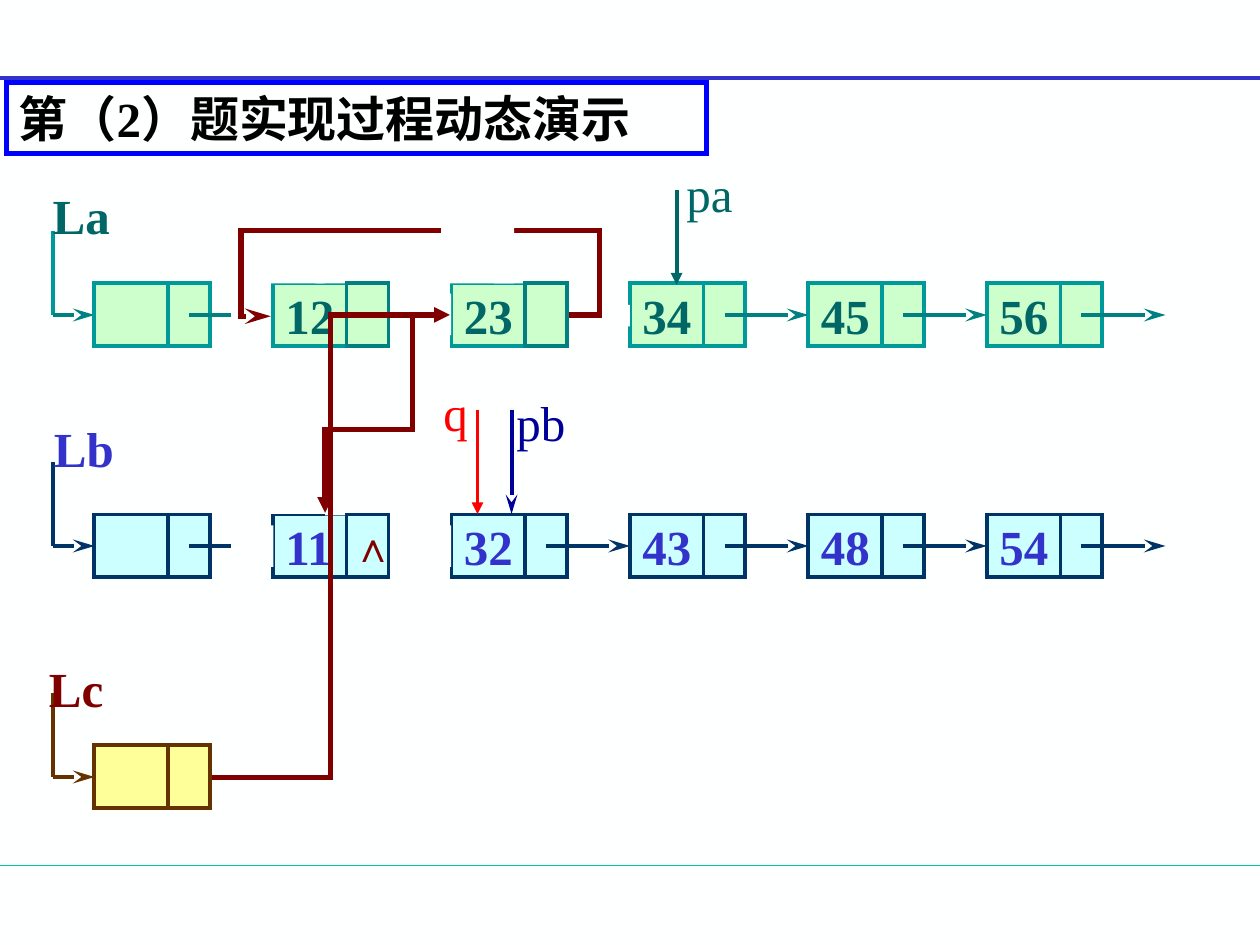
from pptx import Presentation
from pptx.dml.color import RGBColor
from pptx.enum.shapes import MSO_CONNECTOR as Wire, MSO_SHAPE as Preset
from pptx.enum.text import MSO_ANCHOR as Anchor, PP_ALIGN as Align
from pptx.oxml.ns import qn
from pptx.util import Inches, Pt
from lxml.etree import SubElement

LATIN, CHINESE = "Times New Roman", "Noto Sans CJK SC"
PAPER, DARK_RED, RED, GREEN, BLUE = "FEFFFF", "800000", "FF0000", "006666", "3333CC"
NODE_LEFT, NODE_STEP, NODE_WIDTH, NODE_HEIGHT = 0.75, 17 / 12, 11 / 12, 0.5
DATA_WIDTH, STEM_LEFT = 7 / 12, 0.42
ROW_TOPS = [2.25 + index * 11 / 6 for index in range(3)]
HEAD_LENGTHS = {"stealth": "lg", "triangle": "med"}


def color(hex_code):
    return RGBColor.from_string(hex_code)


def inches(*lengths):
    return [Inches(length) for length in lengths]


def set_stroke(shape, stroke, width):
    shape.line.color.rgb = color(stroke)
    shape.line.width = Pt(width)
    outline = shape._element.spPr.find(qn("a:ln"))
    SubElement(outline, qn("a:miter"), lim="800000")
    return outline


def add_line(page, start, end, stroke, width, head=None, kind=Wire.STRAIGHT):
    wire = page.shapes.add_connector(kind, *inches(*start, *end))
    outline = set_stroke(wire, stroke, width)
    if head:
        SubElement(outline, qn("a:tailEnd"), type=head, w="med", len=HEAD_LENGTHS[head])
    SubElement(wire._element.spPr, qn("a:effectLst"))
    return wire


def add_elbow(page, start, end, head, bends):
    wire = add_line(page, start, end, DARK_RED, 3, head, Wire.ELBOW)
    geometry = wire._element.spPr.find(qn("a:prstGeom"))
    geometry.set("prst", f"bentConnector{len(bends) + 2}")
    for old in list(geometry):
        geometry.remove(old)
    guides = SubElement(geometry, qn("a:avLst"))
    for number, bend in enumerate(bends, 1):
        SubElement(guides, qn("a:gd"), name=f"adj{number}",
                   fmla=f"val {round(bend * 100000)}")


def add_box(page, place, fill, stroke=None):
    box = page.shapes.add_shape(Preset.RECTANGLE, *inches(*place))
    box.shadow.inherit = False
    box.fill.solid()
    box.fill.fore_color.rgb = color(fill)
    if stroke:
        set_stroke(box, stroke, 2.25)
    else:
        box.line.fill.background()
    return box


def write(box, text, ink, size=28, bold=True):
    box.text_frame.word_wrap = True
    para = box.text_frame.paragraphs[0]
    para.text = text
    para.alignment = Align.LEFT
    para.font.name = LATIN
    para.font.size = Pt(size)
    para.font.bold = bold
    para.font.color.rgb = color(ink)


def add_label(page, text, left, top, ink, size=28, bold=True):
    write(page.shapes.add_textbox(*inches(left, top, 0.8, 0.57)), text, ink, size, bold)


def node_left(index):
    return NODE_LEFT + index * NODE_STEP


def add_list(page, top, values, fill, stroke, arrow, ink, linked):
    middle = top + NODE_HEIGHT / 2
    add_line(page, (STEM_LEFT, top - 0.42), (STEM_LEFT, middle), stroke, 2.5)
    add_line(page, (STEM_LEFT, middle), (NODE_LEFT, middle), arrow, 2.5, "stealth")
    for index, value in enumerate(values):
        left = node_left(index)
        box = add_box(page, (left, top, NODE_WIDTH, NODE_HEIGHT), fill, stroke)
        if value:
            write(box, value, ink)
        divider = left + DATA_WIDTH
        add_line(page, (divider, top), (divider, top + NODE_HEIGHT), stroke, 2.25)
    for index in linked:
        start = node_left(index) + 0.75
        add_line(page, (start, middle), (node_left(index + 1), middle), arrow, 2.5, "stealth")
    if linked:
        add_line(page, (1.5, middle), (1.83, middle), arrow, 2.5)


def add_tail_cell(page, index, top, fill, stroke):
    place = (node_left(index) + DATA_WIDTH, top, NODE_WIDTH - DATA_WIDTH, NODE_HEIGHT)
    add_box(page, place, fill, stroke)


def add_title(page):
    title = page.shapes.title
    title.left, title.top, title.width, title.height = inches(0.05, 0.65, 5.56, 0.57)
    set_stroke(title, "0000FF", 3)
    title.text_frame.vertical_anchor = Anchor.MIDDLE
    para = title.text_frame.paragraphs[0]
    para.alignment = Align.LEFT
    para.font.size = Pt(28)
    para.font.bold = True
    para.font.color.rgb = color("000000")
    for text, font in (("第", CHINESE), ("（2）", LATIN), ("题实现过程动态演示", CHINESE)):
        span = para.add_run()
        span.text = text
        span.font.name = font
        SubElement(span._r.get_or_add_rPr(), qn("a:ea"), typeface=CHINESE)


def main():
    deck = Presentation()
    deck.slide_width, deck.slide_height = inches(10, 7.5)
    page = deck.slides.add_slide(deck.slide_layouts[5])
    page.background.fill.solid()
    page.background.fill.fore_color.rgb = color(PAPER)
    add_line(page, (0, 6.87), (10, 6.87), "00CC99", 0.75)
    add_line(page, (0, 0.62), (10, 0.62), BLUE, 2.25)

    top_a, top_b, top_c = ROW_TOPS
    add_list(page, top_a, ["", "12", "23", "34", "45", "56"],
             "CCFFCC", "009999", "008080", GREEN, [3, 4, 5])
    add_list(page, top_b, ["", "11", "32", "43", "48", "54"],
             "CCFFFF", "003366", "003366", BLUE, [2, 3, 4, 5])
    add_list(page, top_c, [""], "FFFF99", "663300", "663300", DARK_RED, [])

    for place in ((2.58, 3.17, 0.58, 0.92), (2.83, 4.17, 0.75, 0.33),
                  (2.08, 3.08, 0.5, 1), (2.83, 2.33, 0.75, 0.33),
                  (1.92, 4.17, 0.25, 0.33), (2.5, 1.33, 0.58, 0.92),
                  (2.08, 1.25, 0.5, 1), (3.92, 1.42, 0.58, 0.83),
                  (4.25, 2.42, 0.75, 0.17)):
        add_box(page, place, PAPER)
    add_tail_cell(page, 1, top_b, "CCFFFF", "003366")
    add_tail_cell(page, 1, top_a, "CCFFCC", "008080")
    add_tail_cell(page, 2, top_a, "CCFFCC", "008080")

    add_elbow(page, (3.06, 2.5), (2.58, 4.07), "triangle", [-0.45, 0.58])
    add_elbow(page, (1.68, 6.17), (3.57, 2.5), "triangle", [0.5])
    add_elbow(page, (4.52, 2.5), (2.15, 2.51), "stealth", [-0.1, -68, 1.1])
    add_box(page, (3.5, 1.33, 0.58, 0.92), PAPER)

    for text, left, top, ink in (("La", 0.32, 1.42, GREEN), ("Lb", 0.33, 3.27, BLUE),
                                 ("Lc", 0.29, 5.18, DARK_RED)):
        add_label(page, text, left, top, ink)
    add_label(page, "∧", 2.7, 4.08, DARK_RED, 24)
    for text, left, top, ink, tip, start, end, head in (
            ("pa", 5.35, 1.25, GREEN, 5.37, 1.51, 2.26, "triangle"),
            ("q", 3.42, 2.99, RED, 3.79, 3.25, 4.08, "triangle"),
            ("pb", 4, 3.07, "000099", 4.06, 3.25, 4.08, "stealth")):
        add_line(page, (tip, start), (tip, end), ink, 2.25, head)
        add_label(page, text, left, top, ink, bold=False)

    add_title(page)
    deck.save("out.pptx")


if __name__ == "__main__":
    main()
